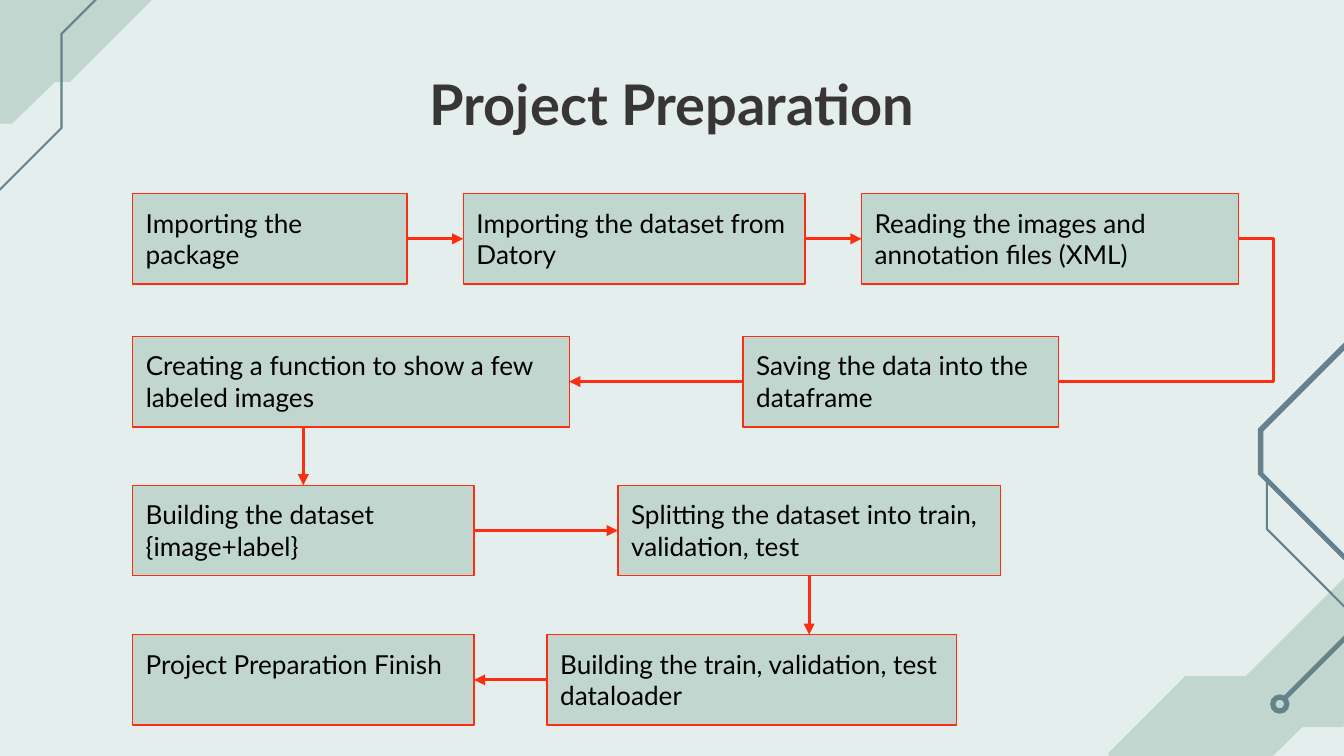
from lxml.etree import SubElement
from pptx import Presentation
from pptx.dml.color import RGBColor
from pptx.enum.shapes import MSO_CONNECTOR, MSO_SHAPE
from pptx.enum.text import MSO_ANCHOR, MSO_AUTO_SIZE, PP_ALIGN
from pptx.oxml.ns import qn
from pptx.util import Pt

FONT = "Lato"
MINT, SAGE, STEEL, RED = "E3EEED", "C1D6CE", "64818C", "FC2E12"
INK, BLACK = "383536", "000000"
LEFT, RIGHT = 1, 3
BOX_HEIGHT = 48.5
MARGIN = 71
ROWS = [103.7, 180.2, 260, 340]

CORNER_BAND = [(85.7, -51.8), (46.8, -13), (11.5, -13), (-67.7, 66.2),
               (6.5, 66.2), (29.5, 43.9), (37.4, 43.9), (133.2, -51.8)]
CORNER_TRACE = [(87.1, -36.7), (32.4, 18), (32.4, 68.4), (-8.6, 109.4),
                (-7.9, 110.2), (33.6, 68.7), (33.6, 18.4), (87.8, -35.8)]
LOWER_BAND = [(739.4, 290.2), (667.4, 362.2), (635, 362.2), (594, 403.2),
              (594, 421.9), (568.1, 447.8), (638.6, 447.8), (697.7, 389.5),
              (719.3, 389.5), (761.8, 347), (761.8, 335.5), (807.1, 290.2)]
THICK_TRACE = [(877, 82.8), (807.1, 152.6), (751, 152.6), (673.9, 229.7),
               (673.9, 254.2), (720.7, 301), (720.7, 339.8), (686.2, 374.4),
               (688.3, 375.8), (723.6, 340.6), (723.6, 300.2), (676.8, 253.4),
               (676.8, 231.1), (752.4, 155.5), (807.8, 155.5), (879.1, 85)]
THIN_TRACE = [(678.2, 257), (678.2, 283.7), (721.4, 326.9),
              (722.2, 326.2), (679.3, 283.2), (679.3, 257)]


def color(value):
    return RGBColor.from_string(value)


class FlowSlide:
    """Holds the style and the current slide, with a method per element."""

    def __init__(self, deck):
        self.slide = deck.slides.add_slide(deck.slide_layouts[5])
        self.shapes = self.slide.shapes
        self.paint(self.slide.background.fill, MINT)

    def paint(self, fill, value):
        fill.solid()
        fill.fore_color.rgb = color(value)

    def label(self, shape, text, size, ink, align, bold=False):
        frame = shape.text_frame
        frame.word_wrap = True
        frame.auto_size = MSO_AUTO_SIZE.NONE
        frame.vertical_anchor = MSO_ANCHOR.TOP
        frame.margin_left = frame.margin_right = Pt(7.2)
        frame.margin_top = frame.margin_bottom = Pt(7.2)
        paragraph = frame.paragraphs[0]
        paragraph.alignment = align
        run = paragraph.add_run()
        run.text = text
        run.font.name, run.font.size, run.font.bold = FONT, Pt(size), bold
        run.font.color.rgb = color(ink)

    def title(self, text):
        heading = self.shapes.title
        heading.left, heading.top = Pt(56.7), Pt(30.3)
        heading.width, heading.height = Pt(606.6), Pt(47)
        self.label(heading, text, 30, INK, PP_ALIGN.CENTER, bold=True)

    def plain(self, shape, value):
        shape.shadow.inherit = False
        self.paint(shape.fill, value)
        shape.line.fill.background()

    def outline(self, points, value):
        corners = [(Pt(x), Pt(y)) for x, y in points]
        builder = self.shapes.build_freeform(*corners[0])
        builder.add_line_segments(corners[1:], close=True)
        self.plain(builder.convert_to_shape(), value)

    def ring(self, x, y, size):
        node = self.shapes.add_shape(
            MSO_SHAPE.DONUT, Pt(x), Pt(y), Pt(size), Pt(size))
        node.adjustments[0] = 0.28
        self.plain(node, STEEL)

    def step(self, text, x, row, width):
        box = self.shapes.add_shape(
            MSO_SHAPE.RECTANGLE, Pt(x), Pt(ROWS[row]), Pt(width), Pt(BOX_HEIGHT))
        self.plain(box, SAGE)
        box.line.color.rgb = color(RED)
        box.line.width = Pt(0.75)
        self.label(box, text, 14, BLACK, PP_ALIGN.LEFT)
        return box

    def connector(self, kind, arrow=True):
        link = self.shapes.add_connector(kind, 0, 0, 0, 0)
        link.line.color.rgb = color(RED)
        link.line.width = Pt(1.5)
        properties = link._element.spPr
        if arrow:
            SubElement(properties.find(qn("a:ln")), qn("a:tailEnd"), type="triangle")
        SubElement(properties, qn("a:effectLst"))
        return link

    def across(self, source, target):
        link = self.connector(MSO_CONNECTOR.STRAIGHT)
        forward = source.left < target.left
        link.begin_connect(source, RIGHT if forward else LEFT)
        link.end_connect(target, LEFT if forward else RIGHT)

    def down(self, source, target, middle_of):
        link = self.connector(MSO_CONNECTOR.STRAIGHT)
        link.begin_x = link.end_x = middle_of.left + middle_of.width // 2
        link.end_y = target.top
        link.begin_y = source.top + source.height

    def wrap(self, source, target):
        link = self.connector(MSO_CONNECTOR.ELBOW, arrow=False)
        link.begin_connect(source, RIGHT)
        link.end_connect(target, RIGHT)
        guides = link._element.spPr.find(qn("a:prstGeom")).find(qn("a:avLst"))
        SubElement(guides, qn("a:gd"), name="adj1", fmla="val -19500")


def main():
    deck = Presentation()
    deck.slide_width, deck.slide_height = Pt(720), Pt(405)
    flow = FlowSlide(deck)

    flow.outline(CORNER_BAND, SAGE)
    flow.outline(CORNER_TRACE, STEEL)
    flow.outline(LOWER_BAND, SAGE)
    flow.outline(THICK_TRACE, STEEL)
    flow.outline(THIN_TRACE, STEEL)
    flow.ring(680.4, 372, 10.4)
    flow.title("Project Preparation")

    package_import = flow.step("Importing the package", MARGIN, 0, 147)
    dataset_import = flow.step("Importing the dataset from Datory", 248.2, 0, 183)
    reading = flow.step("Reading the images and annotation files (XML)", 461.5, 0, 202)
    saving = flow.step("Saving the data into the dataframe", 398, 1, 169)
    preview = flow.step(
        "Creating a function to show a few labeled images", MARGIN, 1, 234)
    dataset = flow.step("Building the dataset {image+label}", MARGIN, 2, 183)
    split = flow.step(
        "Splitting the dataset into train, validation, test", 331, 2, 205)
    dataloader = flow.step(
        "Building the train, validation, test dataloader", 293, 3, 219.6)
    finish = flow.step("Project Preparation Finish", MARGIN, 3, 183)

    flow.across(package_import, dataset_import)
    flow.across(dataset_import, reading)
    flow.wrap(reading, saving)
    flow.across(saving, preview)
    flow.down(preview, dataset, middle_of=dataset)
    flow.across(dataset, split)
    flow.down(split, dataloader, middle_of=split)
    flow.across(dataloader, finish)

    deck.save("out.pptx")


if __name__ == "__main__":
    main()
